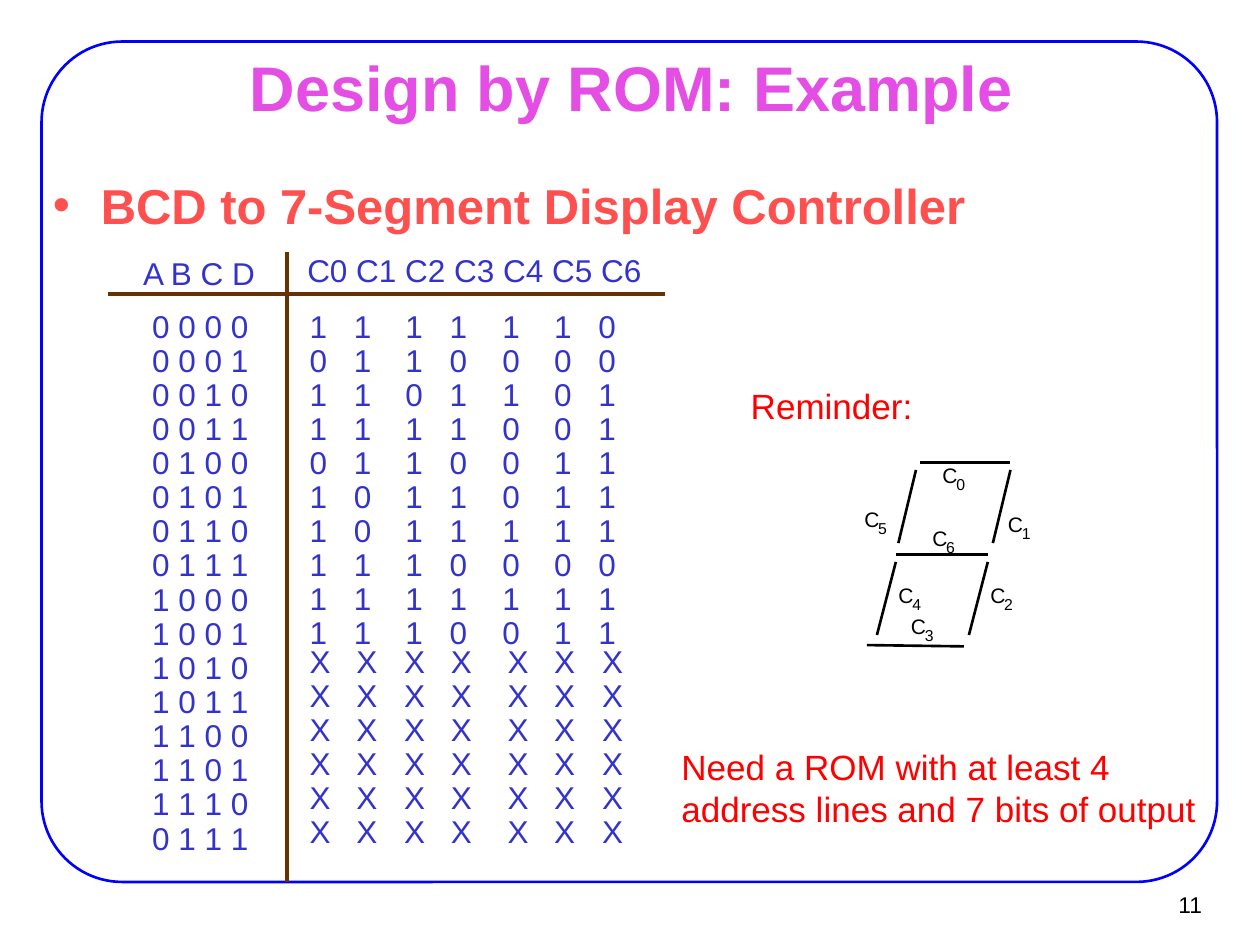
"""Build the slide on a BCD to 7-segment display controller made with a ROM."""
from lxml import etree
from pptx import Presentation
from pptx.dml.color import RGBColor
from pptx.enum.shapes import MSO_CONNECTOR, MSO_SHAPE
from pptx.enum.text import MSO_ANCHOR, PP_ALIGN
from pptx.oxml.ns import qn
from pptx.util import Inches, Pt

STRAIGHT = MSO_CONNECTOR.STRAIGHT
ROUNDED = MSO_SHAPE.ROUNDED_RECTANGLE
TOP, MIDDLE = MSO_ANCHOR.TOP, MSO_ANCHOR.MIDDLE
LEFT, CENTER, RIGHT = PP_ALIGN.LEFT, PP_ALIGN.CENTER, PP_ALIGN.RIGHT
COLORS = {"frame": "0000FF", "title": "E44EE4", "bullet": "FF5050", "table": "3333CC",
          "rule": "663300", "note": "FF0000", "ink": "000000"}


def add_text(s, box, lines, size, color, align=LEFT, anchor=TOP, inset=(0.1, 0.05),
             spacing=1.0, tabs=()):
    tf = s.shapes.add_textbox(*map(Inches, box)).text_frame
    tf.word_wrap = True
    tf.vertical_anchor = anchor
    tf.margin_left = tf.margin_right = Inches(inset[0])
    tf.margin_top = tf.margin_bottom = Inches(inset[1])
    tf.text = "\n".join(lines)
    for p in tf.paragraphs:
        p.alignment = align
        p.line_spacing = spacing
        p.font.name = "Arial"
        p.font.size = Pt(size)
        p.font.color.rgb = RGBColor.from_string(COLORS[color])
        if tabs:
            pPr = p._p.get_or_add_pPr()
            tab_list = etree.Element(qn("a:tabLst"))
            for pos in tabs:
                etree.SubElement(tab_list, qn("a:tab"), pos=str(Inches(pos)), algn="l")
            pPr.find(qn("a:defRPr")).addprevious(tab_list)


def add_line(s, x1, y1, x2, y2, width, color):
    line = s.shapes.add_connector(STRAIGHT, *map(Inches, (x1, y1, x2, y2)))
    line.line.width = Pt(width)
    line.line.color.rgb = RGBColor.from_string(COLORS[color])
    etree.SubElement(line._element.spPr, qn("a:effectLst"))


prs = Presentation()
prs.slide_width, prs.slide_height = Inches(10), Inches(7.5)
s = prs.slides.add_slide(prs.slide_layouts[1])

frame = s.shapes.add_shape(ROUNDED, *map(Inches, (0.33, 0.33, 9.33, 6.67)))
frame.adjustments[0] = 0.096
frame.shadow.inherit = False
frame.fill.background()
frame.line.width = Pt(1.5)
frame.line.color.rgb = RGBColor.from_string(COLORS["frame"])

title, body = s.shapes.title, s.placeholders[1]
for sp, box, text, size, color in (
        (title, (0.76, 0.44, 8.5, 0.49), "Design by ROM: Example", 36, "title"),
        (body, (0.31, 1.33, 8.5, 5.08), "BCD to 7-Segment Display Controller", 28, "bullet")):
    sp.left, sp.top, sp.width, sp.height = map(Inches, box)
    tf = sp.text_frame
    tf.margin_left = tf.margin_right = Inches(0.11)
    tf.margin_top = tf.margin_bottom = Inches(0.06)
    tf.text = text
    p = tf.paragraphs[0]
    p.font.name = "Arial"
    p.font.size = Pt(size)
    p.font.bold = True
    p.font.color.rgb = RGBColor.from_string(COLORS[color])
title.text_frame.vertical_anchor = MIDDLE
title.text_frame.paragraphs[0].alignment = CENTER
p = body.text_frame.paragraphs[0]
p.space_before = Pt(7)
pPr = p._p.get_or_add_pPr()
pPr.set("marL", str(Inches(0.38)))
pPr.set("indent", str(Inches(-0.38)))

add_line(s, 2.28, 2, 2.28, 7, 2.24, "rule")
add_line(s, 0.86, 2.33, 5.28, 2.33, 2.24, "rule")

inputs = [" ".join(f"{n:04b}") for n in range(15)] + ["0 1 1 1"]
outputs = ["1111110", "0110000", "1101101", "1111001", "0110011",
           "1011011", "1011111", "1110000", "1111111", "1110011"]
digit_tabs = (0.35, 0.76, 1.11, 1.53, 1.94, 2.29)
x_tabs = (0.37, 0.75, 1.12, 1.57, 1.94, 2.32)
blocks = [
    ((0.98, 2, 1.2, 0.37), ["A B C D"], CENTER, ()),
    ((2.34, 1.98, 2.95, 0.37), [" ".join(f"C{n}" for n in range(7))], LEFT, ()),
    ((1.11, 2.42, 1.1, 2.26), inputs[:8], LEFT, ()),
    ((1.11, 4.59, 1.1, 2.26), inputs[8:], LEFT, ()),
    ((2.36, 2.42, 2.8, 2.8), ["\t".join(row) for row in outputs], LEFT, digit_tabs),
    ((2.36, 5.08, 2.8, 1.72), ["\t".join("X" * 7)] * 6, LEFT, x_tabs),
]
for box, lines, align, tabs in blocks:
    add_text(s, box, lines, 18, "table", align, MIDDLE, spacing=0.9, tabs=tabs)

segments = [(7.3, 3.67, 8.02, 3.67), (8.02, 3.73, 7.88, 4.31), (7.84, 4.46, 7.69, 5.04),
            (6.88, 5.12, 7.65, 5.13), (7.11, 4.46, 6.96, 5.04), (7.27, 3.73, 7.13, 4.31),
            (7.11, 4.4, 7.84, 4.4)]
labels = [(7.48, 3.67), (8, 4.06), (7.86, 4.62), (7.23, 4.87), (7.13, 4.62),
          (6.86, 4.02), (7.4, 4.17)]
for n, (segment, (x, y)) in enumerate(zip(segments, labels)):
    add_line(s, *segment, 1.5, "ink")
    add_text(s, (x, y, 0.17, 0.2), ["C"], 12, "ink", inset=(0, 0))
    add_text(s, (x + 0.11, y + 0.1, 0.11, 0.15), [str(n)], 9, "ink", inset=(0, 0))

add_text(s, (5.86, 3, 2.19, 0.44), ["Reminder:"], 20, "note")
add_text(s, (5.31, 5.87, 4.37, 0.77),
         ["Need a ROM with at least 4 address lines and 7 bits of output"], 20, "note")
add_text(s, (9.02, 6.99, 0.61, 0.37), ["11"], 13, "ink", RIGHT, MIDDLE, (0.09, 0.04))

prs.save("out.pptx")
